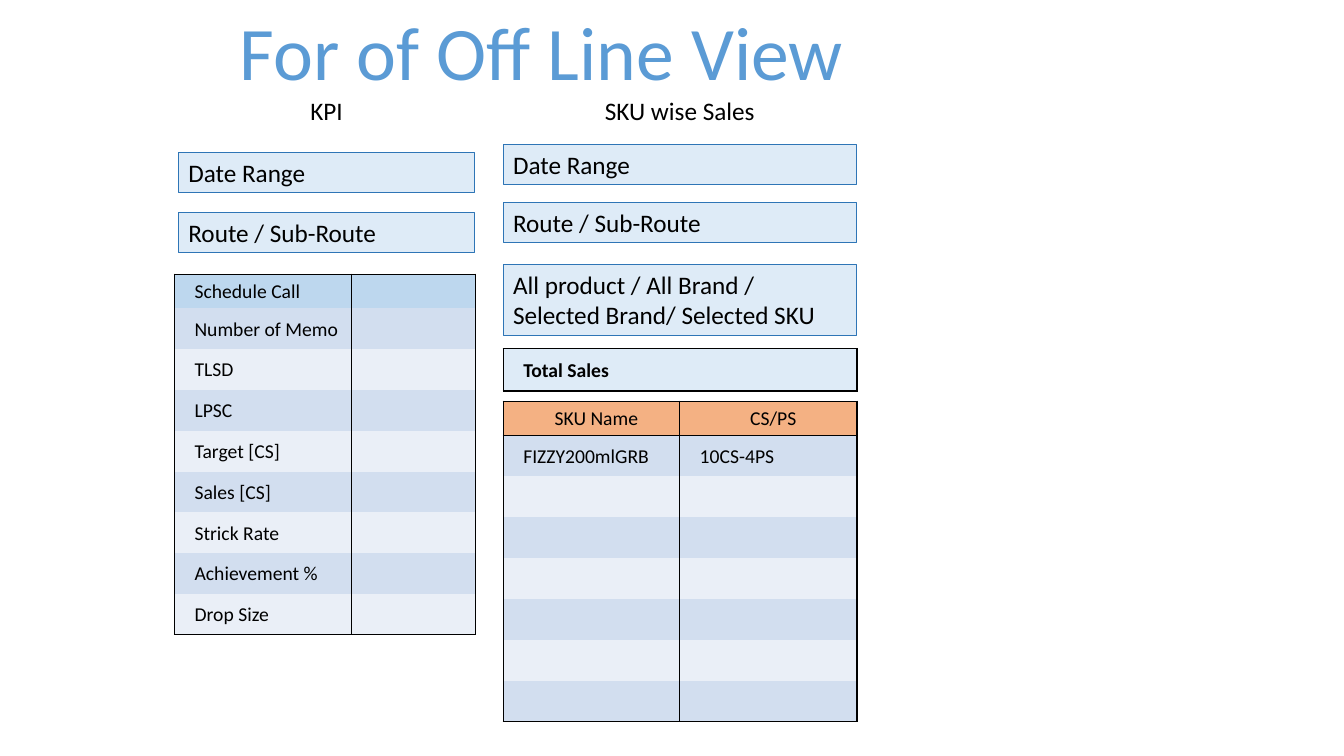
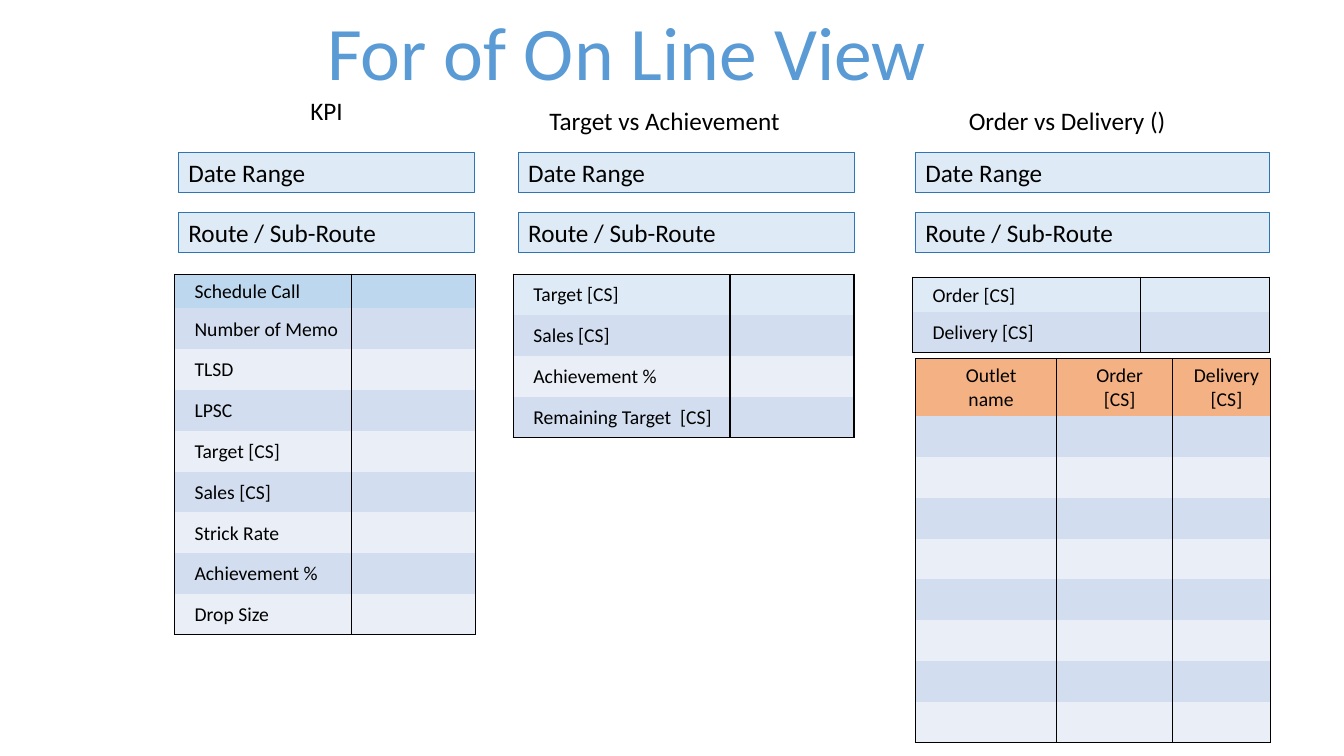
from lxml.etree import SubElement
from pptx import Presentation
from pptx.dml.color import RGBColor
from pptx.enum.shapes import MSO_SHAPE
from pptx.enum.text import MSO_ANCHOR, MSO_AUTO_SIZE, PP_ALIGN
from pptx.oxml.ns import qn
from pptx.util import Inches, Pt

FONT = "Calibri"
COLORS = {
    "title": "5B9BD5",
    "text": "000000",
    "border": "000000",
    "box": "DEEBF7",
    "box_line": "2E75B6",
    "kpi_head": "BDD7EE",
    "list_head": "F4B183",
    "band_dark": "D2DEEF",
    "band_light": "EAEFF7",
}
FILTERS = ["Date Range", "Route / Sub-Route"]
FILTER_H = 0.4
KPI_ROWS = ["Schedule Call", "Number of Memo", "TLSD", "LPSC", "Target [CS]",
            "Sales [CS]", "Strick Rate", "Achievement %", "Drop Size"]


def rgb(name):
    return RGBColor.from_string(COLORS[name])


def put_text(tf, text, size=18, color="text", bold=False, align=PP_ALIGN.LEFT):
    """Fill a text frame, one paragraph for each line of text."""
    for i, line in enumerate(text.split("\n")):
        p = tf.paragraphs[0] if i == 0 else tf.add_paragraph()
        p.alignment = align
        r = p.add_run()
        r.text = line
        r.font.name = FONT
        r.font.size = Pt(size)
        r.font.bold = bold
        r.font.color.rgb = rgb(color)


def add_title(s, text, left, width):
    title = s.shapes.title
    title.left, title.top = Inches(left), Inches(0)
    title.width, title.height = Inches(width), Inches(1.01)
    tf = title.text_frame
    tf.word_wrap = False
    tf.auto_size = MSO_AUTO_SIZE.NONE
    tf.vertical_anchor = MSO_ANCHOR.TOP
    put_text(tf, text, size=54, color="title", align=PP_ALIGN.CENTER)


def add_heading(s, text, left, top, width):
    tb = s.shapes.add_textbox(Inches(left), Inches(top), Inches(width), Inches(0.4))
    tb.text_frame.word_wrap = False
    put_text(tb.text_frame, text)


def add_box(s, text, left, top, width, height=FILTER_H):
    sp = s.shapes.add_shape(MSO_SHAPE.RECTANGLE, Inches(left), Inches(top),
                            Inches(width), Inches(height))
    sp.shadow.inherit = False
    sp.fill.solid()
    sp.fill.fore_color.rgb = rgb("box")
    sp.line.color.rgb = rgb("box_line")
    sp.line.width = Pt(0.75)
    tf = sp.text_frame
    tf.word_wrap = True
    tf.vertical_anchor = MSO_ANCHOR.TOP
    put_text(tf, text)


def add_filters(s, left, width, top=1.51, step=0.6):
    for i, text in enumerate(FILTERS):
        add_box(s, text, left, top + i * step, width)


def set_borders(cell, sides):
    """Draw the named sides (from L, R, T, B) and clear the others."""
    tcPr = cell._tc.get_or_add_tcPr()
    for side in "LRTB":
        ln = SubElement(tcPr, qn(f"a:ln{side}"), w=str(Pt(1)))
        if side in sides:
            fill = SubElement(ln, qn("a:solidFill"))
            SubElement(fill, qn("a:srgbClr"), val=COLORS["border"])
        else:
            SubElement(ln, qn("a:noFill"))


def add_grid(s, left, top, height, cols, rows, head_fill, head_h=None,
             head_align=PP_ALIGN.LEFT, head_rule=False, dividers=True, bold=False):
    """Banded table; the rows under the first share the remaining height."""
    n, last = len(rows), len(cols) - 1
    head_h = head_h or height / n
    frame = s.shapes.add_table(n, len(cols), Inches(left), Inches(top),
                               Inches(sum(cols)), Inches(height))
    table = frame.table
    table.first_row = table.horz_banding = False
    for col, width in zip(table.columns, cols):
        col.width = Inches(width)
    for i, texts in enumerate(rows):
        table.rows[i].height = Inches((height - head_h) / (n - 1) if i else head_h)
        for j in range(len(cols)):
            cell = table.cell(i, j)
            sides = "L" if dividers or j == 0 else ""
            sides += "R" if dividers or j == last else ""
            sides += "T" if i == 0 or (head_rule and i == 1) else ""
            sides += "B" if i == n - 1 or (head_rule and i == 0) else ""
            set_borders(cell, sides)
            cell.fill.solid()
            band = "band_dark" if i % 2 else "band_light"
            cell.fill.fore_color.rgb = rgb(band if i else head_fill)
            cell.vertical_anchor = MSO_ANCHOR.MIDDLE
            cell.margin_left, cell.margin_right = Inches(0.2), Inches(0.1)
            cell.margin_top, cell.margin_bottom = Inches(0.01), Inches(0)
            if j < len(texts):
                put_text(cell.text_frame, texts[j], size=14, bold=bold,
                         align=PP_ALIGN.LEFT if i else head_align)


def add_kpi_panel(s, left=1.73):
    add_heading(s, "KPI", left + 1.25, 0.9, 0.53)
    add_filters(s, left + 0.04, 2.94)
    add_grid(s, left, 2.72, 3.58, [1.76, 1.23], [[t] for t in KPI_ROWS],
             "kpi_head", head_h=0.34)


def add_sku_panel(s, left=4.99):
    cols = [1.75, 1.76]
    add_heading(s, "SKU wise Sales", left + 0.91, 0.9, 1.7)
    add_filters(s, left, sum(cols), top=1.43, step=0.58)
    add_box(s, "All product / All Brand / Selected Brand/ Selected SKU",
            left, 2.62, sum(cols), 0.71)
    add_grid(s, left, 3.46, 0.42, cols, [["Total Sales"]], "box",
             dividers=False, bold=True)
    rows = [["SKU Name", "CS/PS"], ["FIZZY200mlGRB", "10CS-4PS"]] + [[]] * 6
    add_grid(s, left, 3.98, 3.18, cols, rows, "list_head", head_h=0.34,
             head_align=PP_ALIGN.CENTER, head_rule=True)


def add_target_panel(s, left=5.09):
    add_heading(s, "Target vs Achievement", left + 0.26, 1, 2.51)
    add_filters(s, left + 0.05, 3.34)
    rows = [["Target [CS]"], ["Sales [CS]"], ["Achievement %"],
            ["Remaining Target  [CS]"]]
    add_grid(s, left, 2.72, 1.62, [2.15, 1.23], rows, "box")


def add_order_panel(s, left=9.05):
    inner = left + 0.03
    add_heading(s, "Order vs Delivery ()", left + 0.46, 1, 2.18)
    add_filters(s, inner, 3.51)
    add_grid(s, left, 2.75, 0.75, [2.26, 1.28],
             [["Order [CS]"], ["Delivery [CS]"]], "box", head_h=0.35)
    rows = [["Outlet\nname", "Order\n[CS]", "Delivery\n[CS]"]] + [[]] * 8
    add_grid(s, inner, 3.56, 3.81, [1.4, 1.15, 0.97], rows, "list_head",
             head_h=0.57, head_align=PP_ALIGN.CENTER)


def add_view_slide(prs, title, left, width, panels):
    s = prs.slides.add_slide(prs.slide_layouts[5])
    add_title(s, title, left, width)
    for add_panel in panels:
        add_panel(s)


def main():
    prs = Presentation()
    prs.slide_width, prs.slide_height = Inches(13.33), Inches(7.5)
    add_view_slide(prs, "For of Off Line View", 2.24, 6.26,
                   [add_kpi_panel, add_sku_panel])
    add_view_slide(prs, "For of On Line View", 3.11, 6.21,
                   [add_kpi_panel, add_target_panel, add_order_panel])
    prs.save("out.pptx")


if __name__ == "__main__":
    main()
